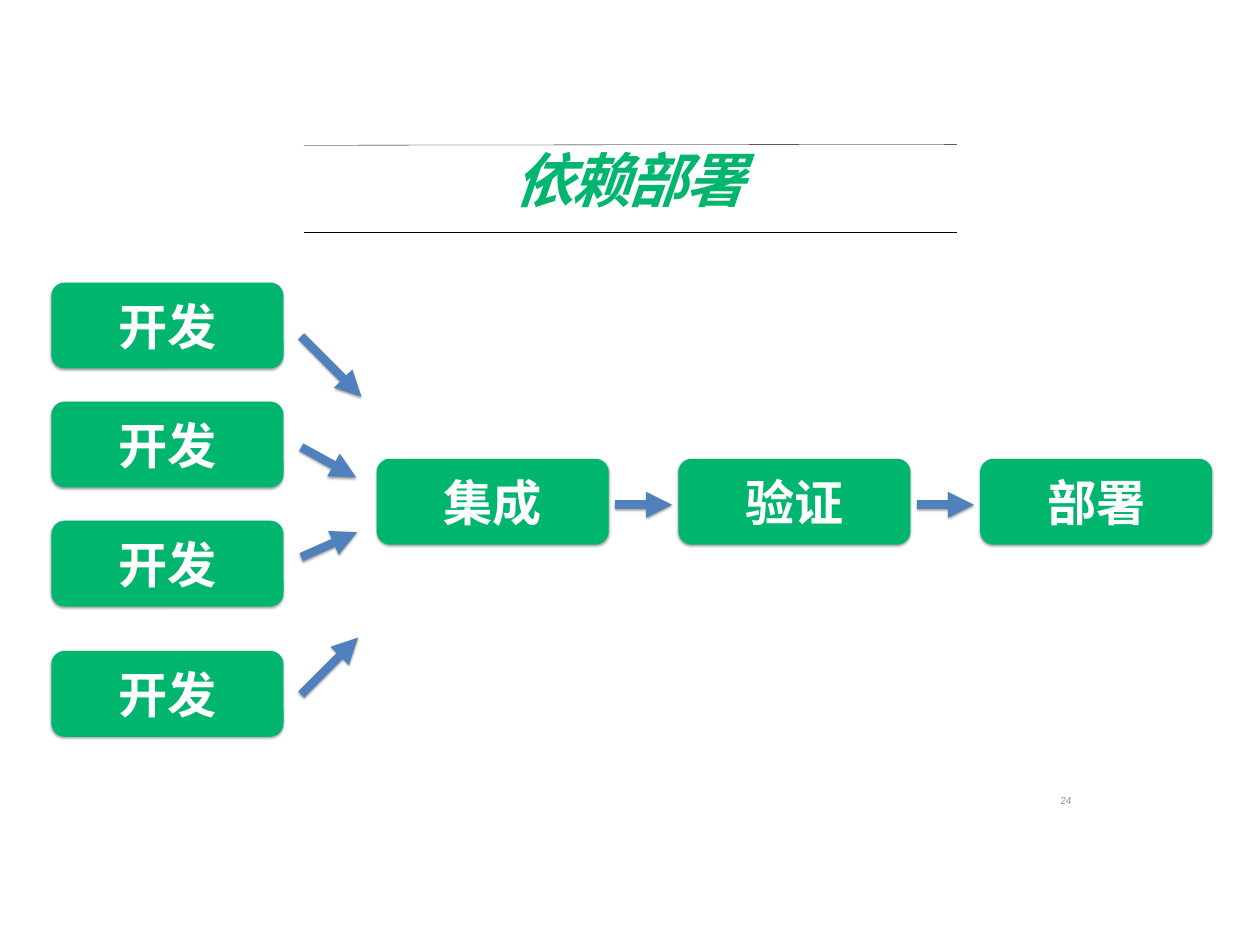
from dataclasses import dataclass

from pptx import Presentation
from pptx import util as u
from pptx.dml.color import RGBColor
from pptx.enum import shapes, text
from pptx.oxml import parse_xml
from pptx.oxml.ns import nsdecls, qn

WIDTH, HEIGHT = u.Inches(14.22), u.Inches(10.67)


@dataclass(frozen=True)
class Theme:
    green: str = "00B56E"
    blue: str = "4F81BD"
    white: str = "FFFFFF"
    black: str = "000000"
    grey: str = "929396"
    title_font: str = "Roboto"
    box_font: str = "Calibri"
    title_size: float = 48
    box_size: float = 40
    number_size: float = 8
    rule_weight: float = 0.25
    arrow_weight: float = 7


THEME = Theme()

# Grid, in percent of the slide's width and height
BOX_WIDTH, BOX_HEIGHT = 18.42, 9.09
SOURCE_LEFT, SOURCE_TOP, SOURCE_STEP = 4.08, 29.9, 12.6
LAST_SOURCE_TOP = 68.88
FLOW_LEFT, FLOW_TOP, FLOW_STEP = 29.89, 48.55, 23.95
FLOW_ARROW_Y, ARROW_GAP = 53.42, 0.5
MERGE_START = 23.91


def across(percent):
    return round(WIDTH * percent / 100)


def down(percent):
    return round(HEIGHT * percent / 100)


def place(left, top, width, height):
    return across(left), down(top), across(width), down(height)


def write(shape, words, *, font, size, color, bold=False, italic=False,
          align=text.PP_ALIGN.CENTER, anchor=text.MSO_ANCHOR.MIDDLE,
          inset=0, wrap=True, line_spacing=None, tracking=None):
    frame = shape.text_frame
    frame.word_wrap = wrap
    frame.vertical_anchor = anchor
    frame.margin_left = frame.margin_right = u.Inches(inset)
    frame.margin_top = frame.margin_bottom = u.Inches(inset)
    paragraph = frame.paragraphs[0]
    paragraph.alignment = align
    paragraph.line_spacing = line_spacing
    run = paragraph.add_run()
    run.text = words
    run.font.name, run.font.size = font, u.Pt(size)
    run.font.bold, run.font.italic = bold, italic
    run.font.color.rgb = RGBColor.from_string(color)
    if tracking is not None:
        run.font._element.set("spc", str(round(tracking * 100)))


def set_shadow(shape, opacity=None):
    """Give a soft shadow below the shape, or none when opacity is None."""
    shadow = "" if opacity is None else (
        f'<a:outerShdw blurRad="{u.Pt(2)}" dist="{u.Pt(1)}" dir="5400000" rotWithShape="0">'
        f'<a:srgbClr val="{THEME.black}"><a:alpha val="{opacity * 1000}"/></a:srgbClr>'
        '</a:outerShdw>')
    shape.element.spPr.append(
        parse_xml(f'<a:effectLst {nsdecls("a")}>{shadow}</a:effectLst>'))


def add_line(slide, start, end, color, weight):
    line = slide.shapes.add_connector(
        shapes.MSO_CONNECTOR.STRAIGHT,
        across(start[0]), down(start[1]), across(end[0]), down(end[1]))
    line.line.color.rgb = RGBColor.from_string(color)
    line.line.width = u.Pt(weight)
    return line


def add_rule(slide, start, end):
    set_shadow(add_line(slide, start, end, THEME.black, THEME.rule_weight))


def add_arrow(slide, start, end):
    arrow = add_line(slide, start, end, THEME.blue, THEME.arrow_weight)
    arrow.element.spPr.find(qn("a:ln")).append(
        parse_xml(f'<a:tailEnd {nsdecls("a")} type="triangle"/>'))
    set_shadow(arrow, opacity=38)


def add_box(slide, left, top, words):
    box = slide.shapes.add_shape(shapes.MSO_SHAPE.ROUNDED_RECTANGLE,
                                 *place(left, top, BOX_WIDTH, BOX_HEIGHT))
    box.adjustments[0] = 0.156
    box.fill.solid()
    box.fill.fore_color.rgb = RGBColor.from_string(THEME.green)
    box.line.fill.background()
    set_shadow(box, opacity=35)
    write(box, words, font=THEME.box_font, size=THEME.box_size,
          color=THEME.white, bold=True, inset=0.05)


def add_text(slide, area, words, **style):
    write(slide.shapes.add_textbox(*place(*area)), words, **style)


def main():
    presentation = Presentation()
    presentation.slide_width, presentation.slide_height = WIDTH, HEIGHT
    slide = presentation.slides.add_slide(presentation.slide_layouts[6])

    # Title between two rules, and page number
    add_rule(slide, (24.12, 24.56), (75.95, 24.56))
    add_rule(slide, (24.12, 15.37), (75.95, 15.28))
    add_text(slide, (83.76, 83.69, 1.55, 2.25), "24", font=THEME.title_font,
             size=THEME.number_size, color=THEME.grey, italic=True, inset=0.04,
             wrap=False, align=text.PP_ALIGN.RIGHT, anchor=text.MSO_ANCHOR.TOP)
    add_text(slide, (24.12, 16.12, 51.69, 7.5), "依赖部署", font=THEME.title_font,
             size=THEME.title_size, color=THEME.green, bold=True, italic=True,
             line_spacing=0.7, tracking=-1.9)

    # Development sources
    source_tops = [SOURCE_TOP + row * SOURCE_STEP for row in range(3)]
    for top in source_tops + [LAST_SOURCE_TOP]:
        add_box(slide, SOURCE_LEFT, top, "开发")

    # Main flow, with an arrow before every stage but the first
    for column, stage in enumerate(("集成", "验证", "部署")):
        left = FLOW_LEFT + column * FLOW_STEP
        add_box(slide, left, FLOW_TOP, stage)
        if column:
            previous_right = left - FLOW_STEP + BOX_WIDTH
            add_arrow(slide, (previous_right + ARROW_GAP, FLOW_ARROW_Y),
                      (left - ARROW_GAP, FLOW_ARROW_Y))

    # Arrows merging the sources into the flow
    for start_y, end in ((35.61, (28.69, 41.99)), (47.33, (28.27, 50.52)),
                         (58.95, (28.34, 56.33)), (73.48, (28.41, 67.48))):
        add_arrow(slide, (MERGE_START, start_y), end)

    presentation.save("out.pptx")


if __name__ == "__main__":
    main()
